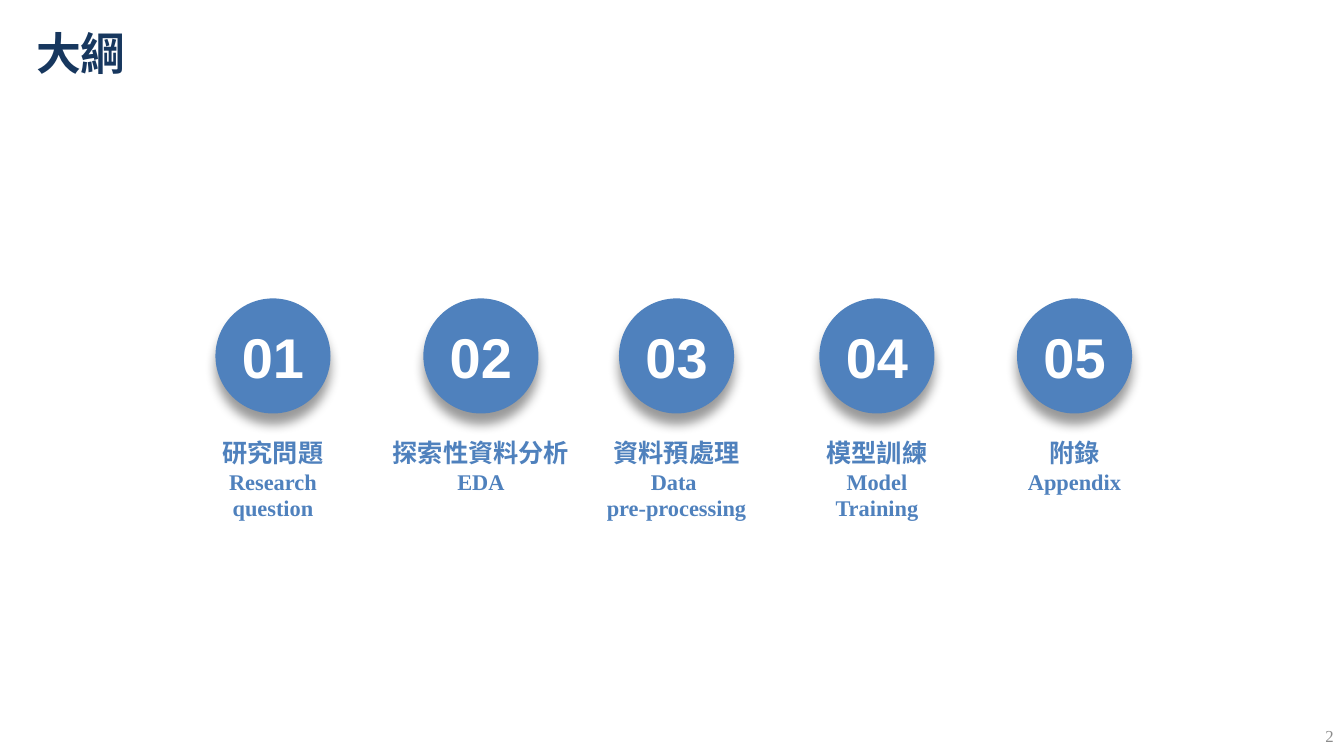
from dataclasses import dataclass

from lxml.etree import SubElement
from pptx import Presentation
from pptx.dml.color import RGBColor
from pptx.enum.shapes import MSO_SHAPE
from pptx.enum.text import MSO_ANCHOR as Anchor, MSO_AUTO_SIZE as AutoSize, PP_ALIGN as Align
from pptx.oxml.ns import qn
from pptx.shapes.autoshape import Shape
from pptx.slide import Slide
from pptx.text.text import TextFrame, _Paragraph as Paragraph
from pptx.util import Cm, Pt


@dataclass(frozen=True)
class Theme:
    navy: str = "17375E"
    blue: str = "4F81BD"
    white: str = "FFFFFF"
    grey: str = "8C8C8C"
    shadow: str = "000000"
    sans: str = "Arial"
    serif: str = "Times New Roman"
    cjk: str = "Noto Sans CJK SC"
    title_size: int = 32
    number_size: int = 40
    chinese_size: int = 18
    english_size: int = 16
    page_size: int = 12


@dataclass(frozen=True)
class Section:
    center: float
    label_width: float
    chinese: str
    english: tuple[str, ...]
    font: str


THEME = Theme()
SECTIONS = (
    Section(6.88, 3.07, "研究問題", ("Research", "question"), THEME.sans),
    Section(12.12, 5.0, "探索性資料分析", ("EDA",), THEME.sans),
    Section(17.05, 4.09, "資料預處理", ("Data ", "pre-processing"), THEME.cjk),
    Section(22.1, 3.07, "模型訓練", ("Model", "Training"), THEME.cjk),
    Section(27.08, 2.9, "附錄", ("Appendix",), THEME.cjk),
)
CIRCLE_TOP, CIRCLE_SIZE = 7.52, 2.9
LABEL_TOP, CHINESE_HEIGHT, ENGLISH_HEIGHT = 10.9, 1.02, 0.68


def style(paragraph: Paragraph, font: str, size: int, color: str,
          bold: bool = True, align: Align = Align.CENTER) -> None:
    paragraph.alignment = align
    for run in paragraph.runs:
        run.font.name = font
        run.font.size = Pt(size)
        run.font.bold = bold
        run.font.color.rgb = RGBColor.from_string(color)
        SubElement(run.font._element, qn("a:ea"), typeface=THEME.cjk)


def add_text_box(slide: Slide, left: float, top: float, width: float, height: float,
                 text: str, wrap: bool = True) -> TextFrame:
    frame = slide.shapes.add_textbox(Cm(left), Cm(top), Cm(width), Cm(height)).text_frame
    frame.word_wrap = wrap
    frame.text = text
    return frame


def add_drop_shadow(shape: Shape) -> None:
    """Cast a soft 40 % shadow straight down."""
    shape.shadow.inherit = False
    effects = shape._element.spPr.find(qn("a:effectLst"))
    shadow = SubElement(effects, qn("a:outerShdw"), blurRad=str(Pt(8)), dist=str(Pt(8)),
                        dir="5400000", algn="t", rotWithShape="0")
    color = SubElement(shadow, qn("a:srgbClr"), val=THEME.shadow)
    SubElement(color, qn("a:alpha"), val="40000")


def add_number_circle(slide: Slide, center: float, number: int) -> None:
    circle = slide.shapes.add_shape(MSO_SHAPE.OVAL, Cm(center - CIRCLE_SIZE / 2),
                                    Cm(CIRCLE_TOP), Cm(CIRCLE_SIZE), Cm(CIRCLE_SIZE))
    circle.fill.solid()
    circle.fill.fore_color.rgb = RGBColor.from_string(THEME.blue)
    circle.line.fill.background()
    add_drop_shadow(circle)
    frame = circle.text_frame
    frame.word_wrap = False
    frame.vertical_anchor = Anchor.MIDDLE
    frame.text = f"{number:02}"
    style(frame.paragraphs[0], THEME.sans, THEME.number_size, THEME.white)


def add_label(slide: Slide, section: Section) -> None:
    height = CHINESE_HEIGHT + ENGLISH_HEIGHT * len(section.english)
    frame = add_text_box(slide, section.center - section.label_width / 2, LABEL_TOP,
                         section.label_width, height,
                         "\n".join((section.chinese, *section.english)), wrap=False)
    frame.auto_size = AutoSize.SHAPE_TO_FIT_TEXT
    chinese, *english = frame.paragraphs
    style(chinese, section.font, THEME.chinese_size, THEME.blue)
    for line in english:
        style(line, THEME.serif, THEME.english_size, THEME.blue)


def main() -> None:
    deck = Presentation()
    deck.slide_width, deck.slide_height = Cm(33.87), Cm(19.05)
    slide = deck.slides.add_slide(deck.slide_layouts[6])

    title = add_text_box(slide, 0.66, 0.53, 21.87, 1.8, "大綱")
    style(title.paragraphs[0], THEME.cjk, THEME.title_size, THEME.navy, align=Align.LEFT)

    page = add_text_box(slide, 25.96, 18.03, 7.9, 1.02, "2")
    page.vertical_anchor = Anchor.MIDDLE
    style(page.paragraphs[0], THEME.serif, THEME.page_size, THEME.grey,
          bold=False, align=Align.RIGHT)

    for number, section in enumerate(SECTIONS, start=1):
        add_number_circle(slide, section.center, number)
        add_label(slide, section)

    deck.save("out.pptx")


if __name__ == "__main__":
    main()
